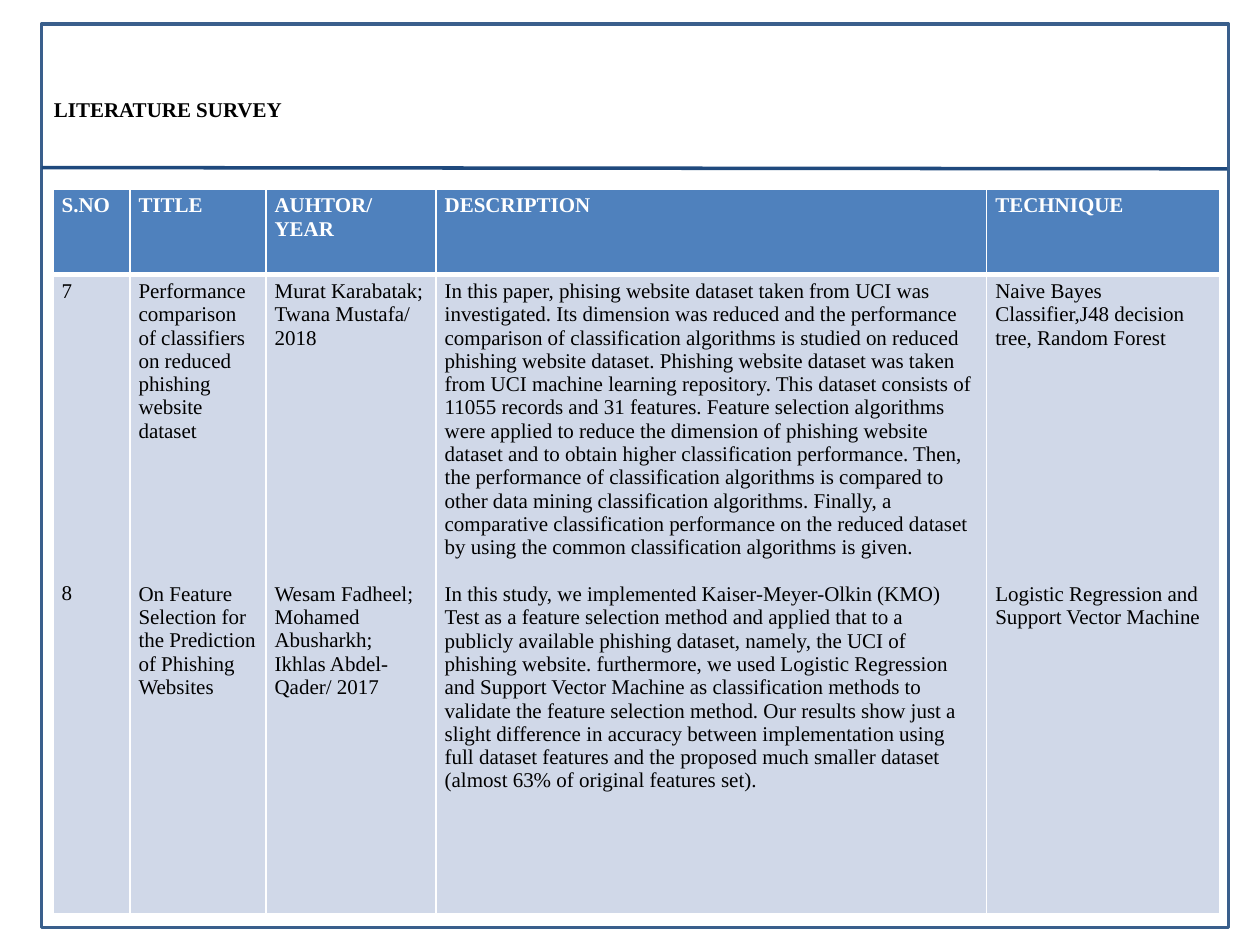
"""Build the literature survey slide."""
from lxml import etree
from pptx import Presentation
from pptx.dml.color import RGBColor
from pptx.enum.shapes import MSO_CONNECTOR, MSO_SHAPE
from pptx.enum.text import MSO_ANCHOR
from pptx.oxml.ns import qn
from pptx.util import Inches, Pt

RECT = MSO_SHAPE.RECTANGLE
LINE = MSO_CONNECTOR.STRAIGHT
MIDDLE = MSO_ANCHOR.MIDDLE
FONT, SIZE, PITCH = "Times New Roman", 12, 13.3
BLACK, WHITE = "000000", "FFFFFF"

TITLE = "LITERATURE SURVEY"
HEADS = ["S.NO", "TITLE", "AUHTOR/YEAR", "DESCRIPTION", "TECHNIQUE"]
WIDTHS = [0.61, 1.08, 1.35, 4.37, 1.85]
HEIGHTS = [0.68, 5.07]
GAPS = [12, 6, 10, 1, 10]
PAPERS = [
    ["7",
     "Performance comparison of classifiers on reduced phishing website dataset",
     "Murat Karabatak; Twana Mustafa/ 2018",
     "In this paper, phising website dataset taken from UCI was investigated. "
     "Its dimension was reduced and the performance comparison of classification "
     "algorithms is studied on reduced phishing website dataset. Phishing website "
     "dataset was taken from UCI machine learning repository. This dataset consists "
     "of 11055 records and 31 features. Feature selection algorithms were applied to "
     "reduce the dimension of phishing website dataset and to obtain higher "
     "classification performance. Then, the performance of classification algorithms "
     "is compared to other data mining classification algorithms. Finally, a "
     "comparative classification performance on the reduced dataset by using the "
     "common classification algorithms is given.",
     "Naive Bayes Classifier,J48 decision tree, Random Forest"],
    ["8",
     "On Feature Selection for the Prediction of Phishing Websites",
     "Wesam Fadheel; Mohamed Abusharkh; Ikhlas Abdel-Qader/ 2017",
     "In this study, we implemented Kaiser-Meyer-Olkin (KMO) Test as a feature "
     "selection method and applied that to a publicly available phishing dataset, "
     "namely, the UCI of phishing website. furthermore, we used Logistic Regression "
     "and Support Vector Machine as classification methods to validate the feature "
     "selection method. Our results show just a slight difference in accuracy between "
     "implementation using full dataset features and the proposed much smaller "
     "dataset (almost 63% of original features set).",
     "Logistic Regression and Support Vector Machine"],
]


def paint(color, value):
    color.rgb = RGBColor.from_string(value)


def write(par, text, color, bold=False):
    run = par.add_run()
    run.text = text
    run.font.name, run.font.size, run.font.bold = FONT, Pt(SIZE), bold
    paint(run.font.color, color)


def dress(cell, fill, edges):
    cell.fill.solid()
    paint(cell.fill.fore_color, fill)
    cell.margin_left = cell.margin_right = Inches(0.07)
    cell.margin_top = cell.margin_bottom = Inches(0.04)
    props = cell._tc.get_or_add_tcPr()
    for spot, (side, width) in enumerate(edges.items()):
        edge = etree.Element(qn("a:ln" + side), w=str(Pt(width)))
        solid = etree.SubElement(edge, qn("a:solidFill"))
        etree.SubElement(solid, qn("a:srgbClr"), val=WHITE)
        props.insert(spot, edge)


def add_frame(slide):
    box = slide.shapes.add_shape(
        RECT, Inches(0.33), Inches(0.19), Inches(9.42), Inches(7.17))
    box.shadow.inherit = False
    box.fill.background()
    rule = slide.shapes.add_connector(
        LINE, Inches(0.33), Inches(1.33), Inches(9.74), Inches(1.34))
    etree.SubElement(rule._element.spPr, qn("a:effectLst"))
    for item, color in ((box, "3A5F8C"), (rule, "1F497D")):
        item.line.width = Pt(2)
        paint(item.line.color, color)


def add_title(slide):
    box = slide.shapes.add_textbox(
        Inches(0.33), Inches(0.25), Inches(9), Inches(1.25))
    frame = box.text_frame
    frame.word_wrap, frame.vertical_anchor = True, MIDDLE
    par = frame.paragraphs[0]
    par.line_spacing = 0.9
    write(par, TITLE, BLACK, True)


def add_survey(slide):
    table = slide.shapes.add_table(
        len(HEIGHTS), len(HEADS), Inches(0.42), Inches(1.5),
        Inches(sum(WIDTHS)), Inches(sum(HEIGHTS))).table
    for row, height in zip(table.rows, HEIGHTS):
        row.height = Inches(height)
    for col, width in enumerate(WIDTHS):
        table.columns[col].width = Inches(width)
        head, body = table.cell(0, col), table.cell(1, col)
        dress(head, "4F81BD", {"L": 1, "R": 1, "T": 1, "B": 3})
        dress(body, "D0D8E8", {"L": 1, "R": 1, "T": 3, "B": 1})
        write(head.text_frame.paragraphs[0], HEADS[col], WHITE, True)
        frame = body.text_frame
        write(frame.paragraphs[0], PAPERS[0][col], BLACK)
        par = frame.add_paragraph()
        par.space_before = Pt(round(GAPS[col] * PITCH, 1))
        write(par, PAPERS[1][col], BLACK)


def main():
    deck = Presentation()
    deck.slide_width, deck.slide_height = Inches(10), Inches(7.5)
    slide = deck.slides.add_slide(deck.slide_layouts[6])
    add_frame(slide)
    add_title(slide)
    add_survey(slide)
    deck.save("out.pptx")


if __name__ == "__main__":
    main()
